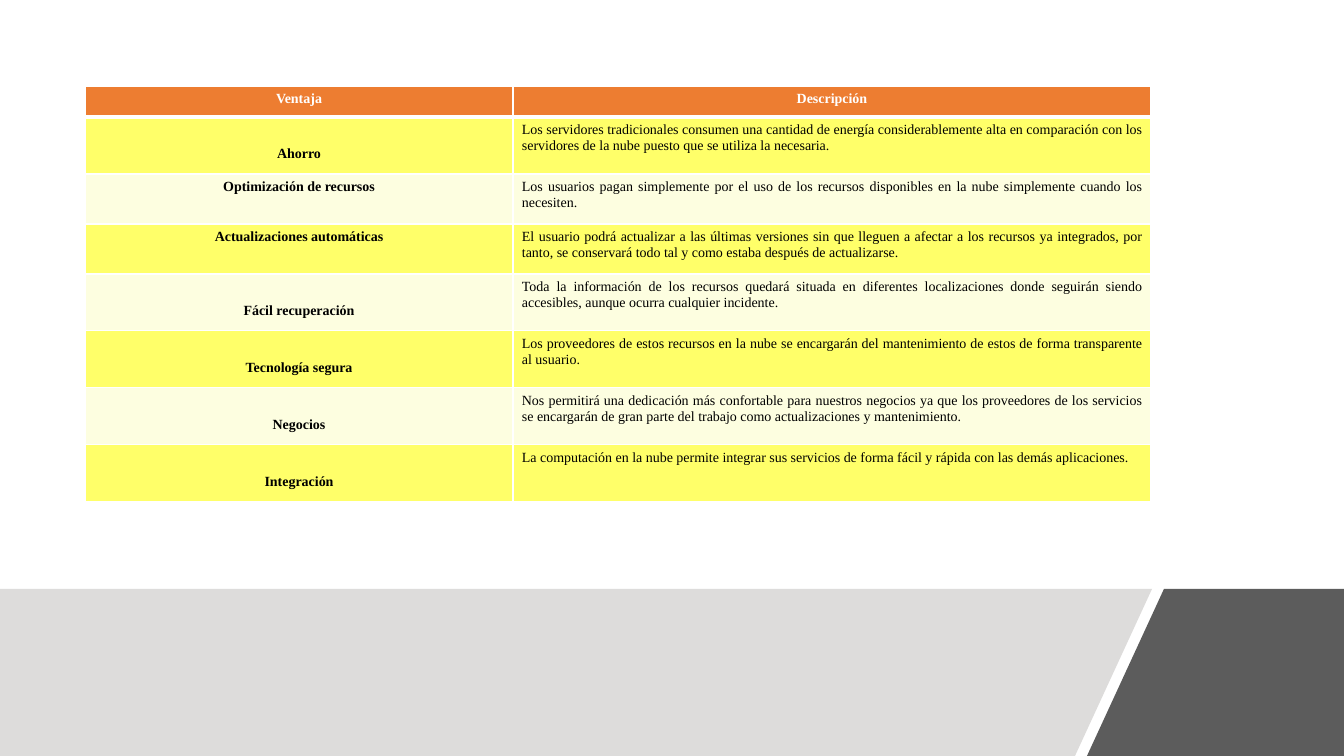
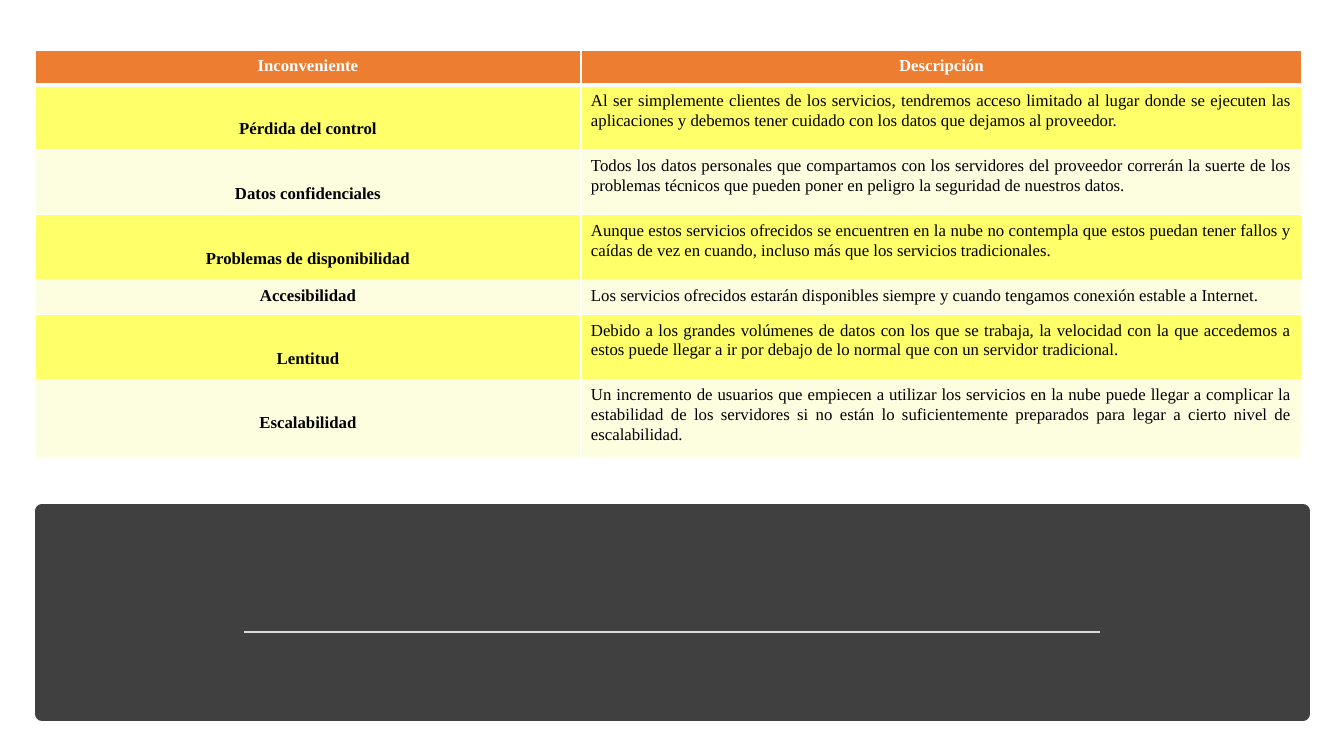
import dataclasses
import typing

import lxml.etree
import pptx
import pptx.dml.color
import pptx.enum.shapes
import pptx.enum.text
import pptx.oxml.ns
import pptx.util


@dataclasses.dataclass(frozen=True)
class Theme:
    font: str = "Times New Roman"
    small: int = 10
    large: int = 12
    white: str = "FFFFFF"
    black: str = "000000"
    head: str = "ED7D31"
    bands: tuple[str, str] = ("FFFF69", "FDFEE0")
    pale: str = "DDDCDB"
    dark: str = "404040"
    rule: str = "D9D9D9"
    thin: float = 1
    thick: float = 3


class Row(typing.NamedTuple):
    name: str
    text: str
    high: int
    drop: int = 0


@dataclasses.dataclass(frozen=True)
class Grid:
    left: int
    top: int
    cols: tuple[int, int]
    size: int
    pad: tuple[int, int]
    rows: tuple[Row, ...]


THEME = Theme()
SCALE = 12192000 / 1344
ALIGN = pptx.enum.text.PP_ALIGN

PROS = Grid(85, 86, (428, 638), THEME.small, (9, 4), (
    Row("Ventaja", "Descripción", 31),
    Row("Ahorro", "Los servidores tradicionales consumen una cantidad de energía considerablemente alta en comparación con los servidores de la nube puesto que se utiliza la necesaria.", 57, 24),
    Row("Optimización de recursos", "Los usuarios pagan simplemente por el uso de los recursos disponibles en la nube simplemente cuando los necesiten.", 50),
    Row("Actualizaciones automáticas", "El usuario podrá actualizar a las últimas versiones sin que lleguen a afectar a los recursos ya integrados, por tanto, se conservará todo tal y como estaba después de actualizarse.", 50),
    Row("Fácil recuperación", "Toda la información de los recursos quedará situada en diferentes localizaciones donde seguirán siendo accesibles, aunque ocurra cualquier incidente.", 57, 24),
    Row("Tecnología segura", "Los proveedores de estos recursos en la nube se encargarán del mantenimiento de estos de forma transparente al usuario.", 57, 24),
    Row("Negocios", "Nos permitirá una dedicación más confortable para nuestros negocios ya que los proveedores de los servicios se encargarán de gran parte del trabajo como actualizaciones y mantenimiento.", 57, 24),
    Row("Integración", "La computación en la nube permite integrar sus servicios de forma fácil y rápida con las demás aplicaciones.", 57, 24),
))

CONS = Grid(35, 50, (546, 721), THEME.large, (10, 5), (
    Row("Inconveniente", "Descripción", 35),
    Row("Pérdida del control", "Al ser simplemente clientes de los servicios, tendremos acceso limitado al lugar donde se ejecuten las aplicaciones y debemos tener cuidado con los datos que dejamos al proveedor.", 65, 28),
    Row("Datos confidenciales", "Todos los datos personales que compartamos con los servidores del proveedor correrán la suerte de los problemas técnicos que pueden poner en peligro la seguridad de nuestros datos.", 65, 28),
    Row("Problemas de disponibilidad", "Aunque estos servicios ofrecidos se encuentren en la nube no contempla que estos puedan tener fallos y caídas de vez en cuando, incluso más que los servicios tradicionales.", 65, 28),
    Row("Accesibilidad", "Los servicios ofrecidos estarán disponibles siempre y cuando tengamos conexión estable a Internet.", 35),
    Row("Lentitud", "Debido a los grandes volúmenes de datos con los que se trabaja, la velocidad con la que accedemos a estos puede llegar a ir por debajo de lo normal que con un servidor tradicional.", 65, 28),
    Row("Escalabilidad", "Un incremento de usuarios que empiecen a utilizar los servicios en la nube puede llegar a complicar la estabilidad de los servidores si no están lo suficientemente preparados para legar a cierto nivel de escalabilidad.", 78, 28),
))


def px(count: int) -> int:
    return round(count * SCALE)


def rgb(code: str) -> pptx.dml.color.RGBColor:
    return pptx.dml.color.RGBColor.from_string(code)


def node(parent: typing.Any, tag: str, **attrs: str) -> typing.Any:
    return lxml.etree.SubElement(parent, pptx.oxml.ns.qn(tag), attrs)


def paint(item: typing.Any, code: str) -> None:
    item.fill.solid()
    item.fill.fore_color.rgb = rgb(code)


def edge(cell: typing.Any, row: int) -> None:
    props = cell._tc.get_or_add_tcPr()
    sides = {
        "a:lnL": THEME.thin,
        "a:lnR": THEME.thin,
        "a:lnT": THEME.thick if row == 1 else THEME.thin,
        "a:lnB": THEME.thick if row == 0 else THEME.thin,
    }
    for tag, width in sides.items():
        line = node(props, tag, w=str(pptx.util.Pt(width)))
        node(node(line, "a:solidFill"), "a:srgbClr", val=THEME.white)


def write(cell: typing.Any, text: str, size: int, bold: bool, code: str, align: typing.Any) -> None:
    para = cell.text_frame.paragraphs[0]
    para.text = text
    para.alignment = align
    para.line_spacing = 1.07
    para.space_after = pptx.util.Pt(6)
    para.font.name = THEME.font
    para.font.size = pptx.util.Pt(size)
    para.font.bold = bold
    para.font.color.rgb = rgb(code)


def draw_grid(slide: typing.Any, grid: Grid) -> None:
    wide, high = sum(grid.cols), sum(row.high for row in grid.rows)
    table = slide.shapes.add_table(
        len(grid.rows), len(grid.cols), px(grid.left), px(grid.top), px(wide), px(high)
    ).table
    table.first_row = table.horz_banding = False
    for col, width in zip(table.columns, grid.cols):
        col.width = px(width)
    side, pad = grid.pad
    for i, row in enumerate(grid.rows):
        table.rows[i].height = px(row.high)
        head = i == 0
        for j, text in enumerate((row.name, row.text)):
            cell = table.cell(i, j)
            cell.margin_left = cell.margin_right = px(side)
            cell.margin_top = px(pad + (row.drop if j == 0 else 0))
            cell.margin_bottom = px(pad)
            edge(cell, i)
            paint(cell, THEME.head if head else THEME.bands[(i - 1) % 2])
            label = head or j == 0
            write(cell, text, grid.size, label, THEME.white if head else THEME.black,
                  ALIGN.CENTER if label else ALIGN.JUSTIFY)


def draw_poly(slide: typing.Any, spots: list[tuple[int, int]], code: str) -> typing.Any:
    pen = slide.shapes.build_freeform(*spots[0], scale=SCALE)
    pen.add_line_segments(spots[1:], close=True)
    shape = pen.convert_to_shape()
    shape.shadow.inherit = False
    paint(shape, code)
    shape.line.fill.background()
    return shape


def draw_floor(slide: typing.Any) -> None:
    draw_poly(slide, [(0, 589), (1152, 589), (1075, 756), (0, 756)], THEME.pale)
    wedge = draw_poly(slide, [(1164, 589), (1344, 589), (1344, 756), (1087, 756)], THEME.dark)
    tint = wedge.fill._xPr.find(".//" + pptx.oxml.ns.qn("a:srgbClr"))
    node(tint, "a:alpha", val="85000")


def draw_panel(slide: typing.Any) -> None:
    panel = slide.shapes.add_shape(
        pptx.enum.shapes.MSO_SHAPE.RECTANGLE, px(42), px(511), px(1261), px(203)
    )
    panel.shadow.inherit = False
    paint(panel, THEME.dark)
    panel.line.color.rgb = rgb(THEME.dark)
    panel.line.width = pptx.util.Pt(10)
    rule = slide.shapes.add_connector(
        pptx.enum.shapes.MSO_CONNECTOR.STRAIGHT, px(244), px(632), px(1100), px(632)
    )
    rule.line.color.rgb = rgb(THEME.rule)
    rule.line.width = pptx.util.Pt(1.75)
    node(rule._element.spPr, "a:effectLst")


def main() -> None:
    deck = pptx.Presentation()
    deck.slide_width, deck.slide_height = px(1344), px(756)
    for base, grid in ((draw_floor, PROS), (draw_panel, CONS)):
        slide = deck.slides.add_slide(deck.slide_layouts[6])
        base(slide)
        draw_grid(slide, grid)
    deck.save("out.pptx")


if __name__ == "__main__":
    main()
